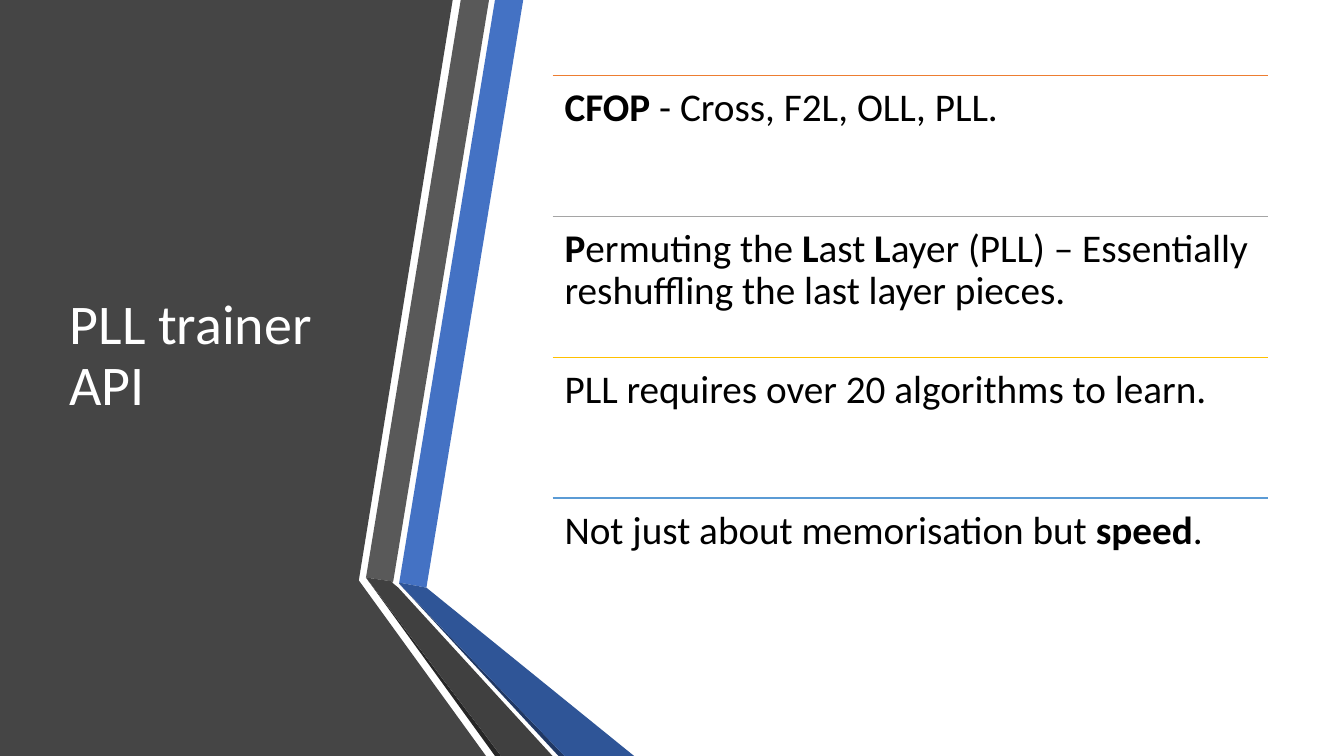
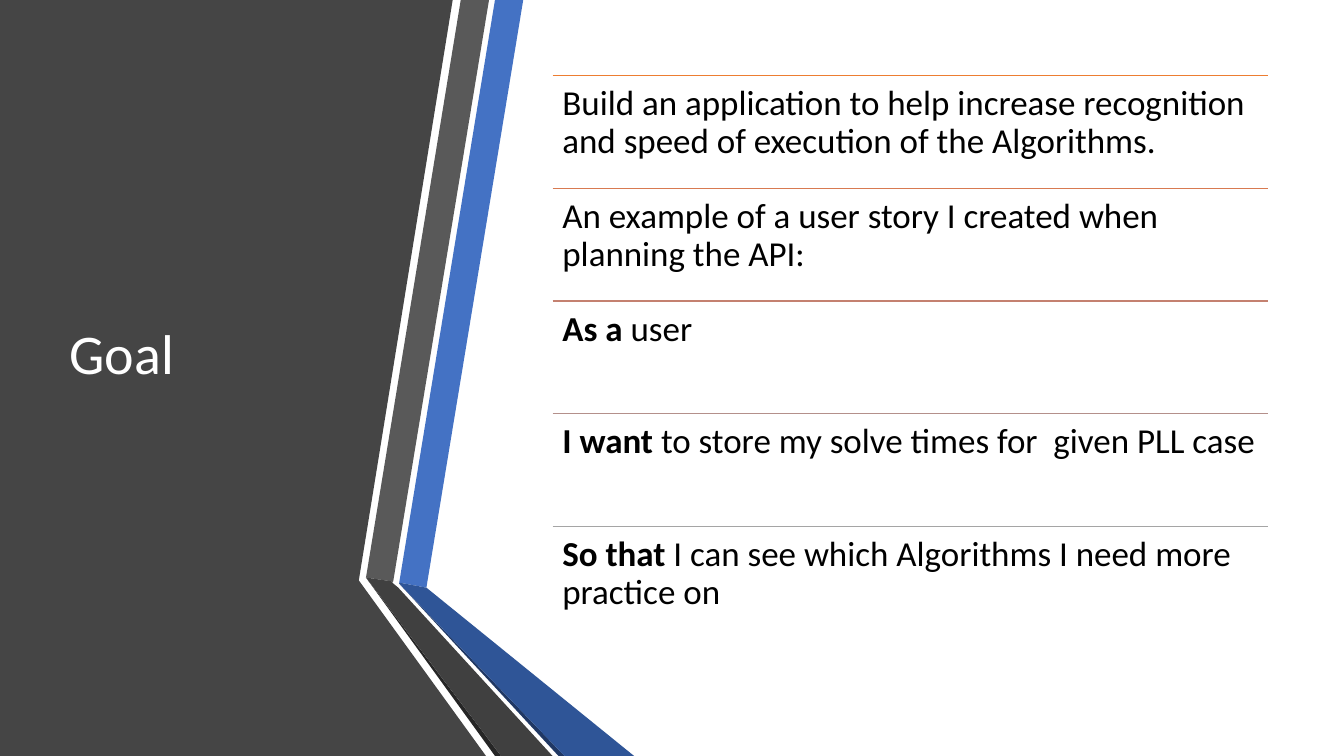
from dataclasses import dataclass

from lxml import etree
from pptx import Presentation
from pptx.dml.color import RGBColor
from pptx.enum.shapes import MSO_CONNECTOR
from pptx.enum.text import MSO_ANCHOR, MSO_AUTO_SIZE, PP_ALIGN
from pptx.oxml.ns import qn
from pptx.util import Inches, Pt

STRAIGHT = MSO_CONNECTOR.STRAIGHT
LEFT = PP_ALIGN.LEFT
TOP, MIDDLE = MSO_ANCHOR.TOP, MSO_ANCHOR.MIDDLE
NO_FIT = MSO_AUTO_SIZE.NONE

FONT = "Calibri"
WHITE, BLACK = "FFFFFF", "000000"
TITLE_SIZE = 40
TITLE_ONLY = 5

LIST_LEFT, LIST_TOP = 5.48, 0.75
LIST_WIDTH, LIST_HEIGHT = 7.1, 5.59


@dataclass
class Band:
    fill: str
    points: list[tuple[float, float]]


@dataclass
class Row:
    rule: str
    runs: list[tuple[str, bool]]  # text, bold


@dataclass
class Page:
    title: str
    size: int
    inset: float
    rows: list[Row]


BANDS = [
    Band("454545", [(0, 0), (4.49, 0), (3.56, 5.75), (3.56, 5.76), (4.82, 7.5), (0, 7.5)]),
    Band("4472C4", [(3.96, 5.78), (4.23, 5.83), (5.19, 0), (4.91, 0)]),
    Band("595959", [(4.85, 0), (4.57, 0), (3.63, 5.73), (3.9, 5.77)]),
    Band("262626", [(3.63, 5.73), (4.91, 7.5), (4.97, 7.5)]),
    Band("203864", [(3.96, 5.79), (5.54, 7.5), (5.6, 7.5)]),
    Band("2F5597", [(3.96, 5.79), (5.6, 7.5), (6.29, 7.5), (4.23, 5.83), (3.96, 5.78)]),
    Band("404040", [(5.48, 7.5), (3.95, 5.83), (3.89, 5.78), (3.9, 5.77),
                    (3.63, 5.73), (4.97, 7.5)]),
]

PAGES = [
    Page("PLL trainer API", 28, 0.12, [
        Row("ED7D31", [("CFOP ", True), ("- Cross, F2L, OLL, PLL.", False)]),
        Row("A5A5A5", [("P", True), ("ermuting the ", False), ("L", True), ("ast ", False),
                       ("L", True),
                       ("ayer (PLL) – Essentially reshuffling the last layer pieces.", False)]),
        Row("FFC000", [("PLL requires over 20 algorithms to learn.", False)]),
        Row("5B9BD5", [("Not just about memorisation but ", False), ("speed", True),
                       (".", False)]),
    ]),
    Page("Goal", 25, 0.1, [
        Row("ED7D31", [("Build an application to help increase recognition and speed of "
                        "execution of the Algorithms.", False)]),
        Row("D87A51", [("An example of a user story I created when planning the API:", False)]),
        Row("C48170", [("As a ", True), ("user", False)]),
        Row("B4908B", [("I want ", True),
                       ("to store my solve times for  given PLL case", False)]),
        Row("A5A5A5", [("So that ", True),
                       ("I can see which Algorithms I need more practice on", False)]),
    ]),
]


def rgb(color: str) -> RGBColor:
    return RGBColor.from_string(color)


def fill_text(tf, runs: list[tuple[str, bool]], size: int, color: str, anchor) -> None:
    tf.word_wrap = True
    tf.auto_size = NO_FIT
    tf.vertical_anchor = anchor
    p = tf.paragraphs[0]
    p.alignment = LEFT
    p.line_spacing = 0.9
    for text, bold in runs:
        r = p.add_run()
        r.text = text
        r.font.name = FONT
        r.font.size = Pt(size)
        r.font.bold = bold
        r.font.color.rgb = rgb(color)


def draw_band(s, band: Band) -> None:
    start, *rest = [(Inches(x), Inches(y)) for x, y in band.points]
    builder = s.shapes.build_freeform(*start)
    builder.add_line_segments(rest)
    sp = builder.convert_to_shape()
    sp.shadow.inherit = False
    sp.fill.solid()
    sp.fill.fore_color.rgb = rgb(band.fill)
    sp.line.fill.background()


def set_title(s, text: str) -> None:
    """Fill the title placeholder and bring it in front of the bands."""
    sp = s.shapes.title
    sp.left, sp.top = Inches(0.59), Inches(0.75)
    sp.width, sp.height = Inches(3.04), Inches(5.58)
    fill_text(sp.text_frame, [(text, False)], TITLE_SIZE, WHITE, MIDDLE)
    sp.element.getparent().append(sp.element)


def draw_rule(s, y: float, color: str) -> None:
    line = s.shapes.add_connector(STRAIGHT, Inches(LIST_LEFT), Inches(y),
                                  Inches(LIST_LEFT + LIST_WIDTH), Inches(y))
    line.line.color.rgb = rgb(color)
    line.line.width = Pt(1)
    etree.SubElement(line.element.spPr, qn("a:effectLst"))


def draw_rows(s, page: Page) -> None:
    height = LIST_HEIGHT / len(page.rows)
    for i, row in enumerate(page.rows):
        y = LIST_TOP + i * height
        draw_rule(s, y, row.rule)
        box = s.shapes.add_textbox(Inches(LIST_LEFT), Inches(y),
                                   Inches(LIST_WIDTH), Inches(height))
        tf = box.text_frame
        tf.margin_left = tf.margin_right = Inches(page.inset)
        tf.margin_top = tf.margin_bottom = Inches(page.inset)
        fill_text(tf, row.runs, page.size, BLACK, TOP)


def main() -> None:
    prs = Presentation()
    prs.slide_width, prs.slide_height = Inches(13.33), Inches(7.5)
    for page in PAGES:
        s = prs.slides.add_slide(prs.slide_layouts[TITLE_ONLY])
        for band in BANDS:
            draw_band(s, band)
        set_title(s, page.title)
        draw_rows(s, page)
    prs.save("out.pptx")


if __name__ == "__main__":
    main()
